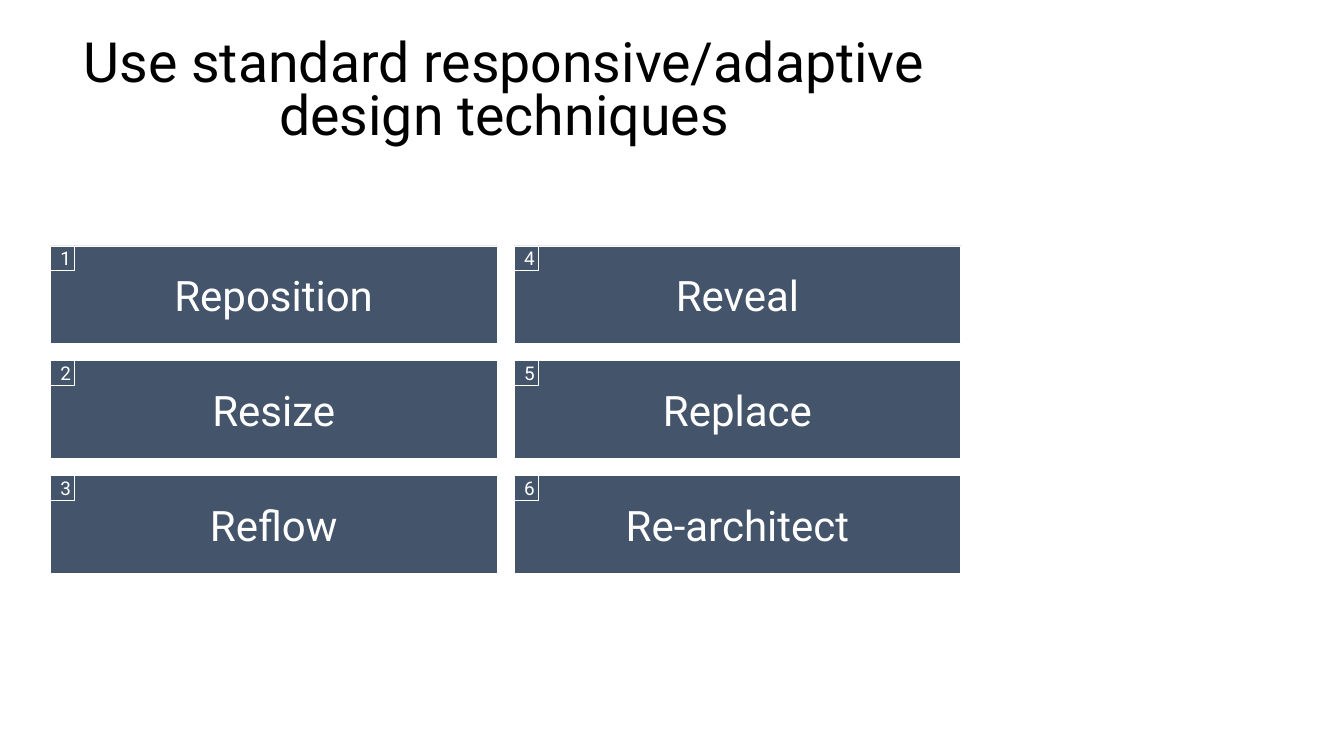
"""Build a slide listing six responsive design techniques in a numbered grid."""
from pptx import Presentation
from pptx.dml.color import RGBColor
from pptx.enum.shapes import MSO_SHAPE
from pptx.enum.text import MSO_ANCHOR, MSO_AUTO_SIZE, PP_ALIGN
from pptx.util import Pt

TITLE = "Use standard responsive/adaptive design techniques"
TECHNIQUES = ["Reposition", "Resize", "Reflow", "Reveal", "Replace", "Re-architect"]

FONT = "Roboto"
BLACK, WHITE, SLATE = "000000", "FFFFFF", "44546A"
PX = 9144
SLIDE_W, SLIDE_H = 1333, 750
TITLE_BOX = (50, 30, 900, 125)
ROWS = 3
LEFT, TOP = 50, 244
CARD_W, CARD_H, BADGE = 443, 97, 24
GAP_X, GAP_Y = 17, 17


def px(*lengths):
    return [n * PX for n in lengths]


def color(hex_code):
    return RGBColor.from_string(hex_code)


def set_text(sp, text, size, hex_code):
    tf = sp.text_frame
    tf.text = text
    tf.word_wrap = True
    tf.auto_size = MSO_AUTO_SIZE.NONE
    tf.vertical_anchor = MSO_ANCHOR.MIDDLE
    p = tf.paragraphs[0]
    p.alignment = PP_ALIGN.CENTER
    font = p.runs[0].font
    font.name, font.size = FONT, Pt(size)
    font.color.rgb = color(hex_code)
    return p


def add_box(group, x, y, w, h, text, size, fill=None):
    sp = group.shapes.add_shape(MSO_SHAPE.RECTANGLE, *px(x, y, w, h))
    sp.shadow.inherit = False
    if fill:
        sp.fill.solid()
        sp.fill.fore_color.rgb = color(fill)
    else:
        sp.fill.background()
    sp.line.color.rgb = color(WHITE)
    sp.line.width = Pt(0.5)
    set_text(sp, text, size, WHITE)


def main():
    prs = Presentation()
    prs.slide_width, prs.slide_height = px(SLIDE_W, SLIDE_H)
    s = prs.slides.add_slide(prs.slide_layouts[5])

    title = s.shapes.title
    title.left, title.top, title.width, title.height = px(*TITLE_BOX)
    set_text(title, TITLE, 39.6, BLACK).line_spacing = 0.8

    for i, name in enumerate(TECHNIQUES):
        col, row = divmod(i, ROWS)
        x = LEFT + col * (CARD_W + GAP_X)
        y = TOP + row * (CARD_H + GAP_Y)
        group = s.shapes.add_group_shape()
        add_box(group, x, y, CARD_W, CARD_H, name, 30, SLATE)
        add_box(group, x, y, BADGE, BADGE, str(i + 1), 13.5)

    prs.save("out.pptx")


if __name__ == "__main__":
    main()
